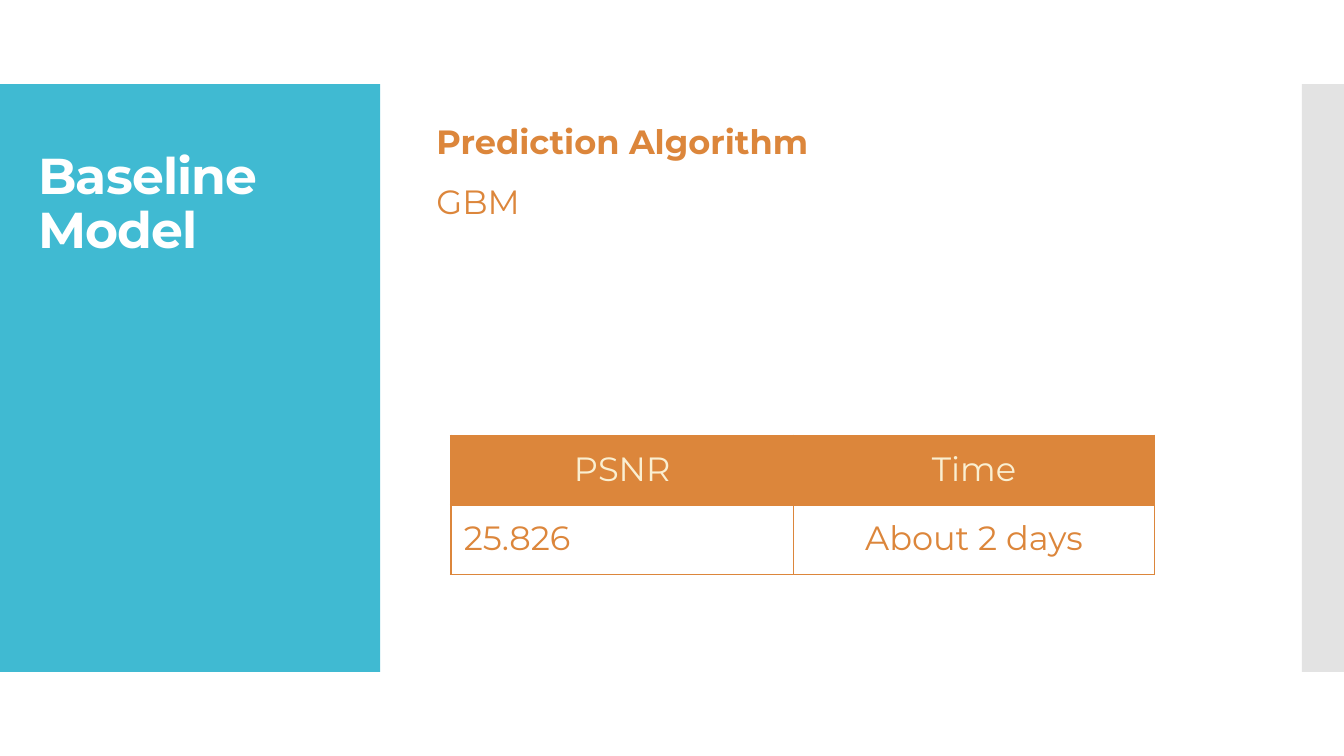
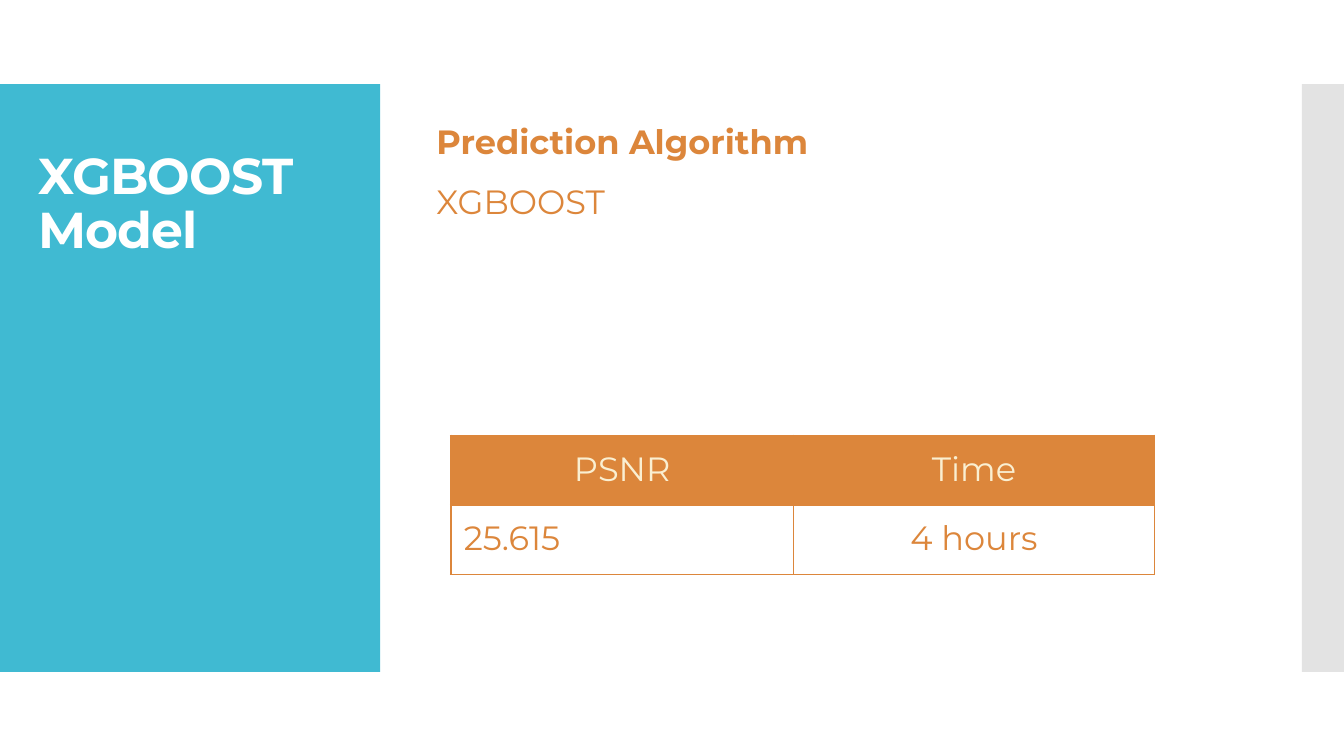
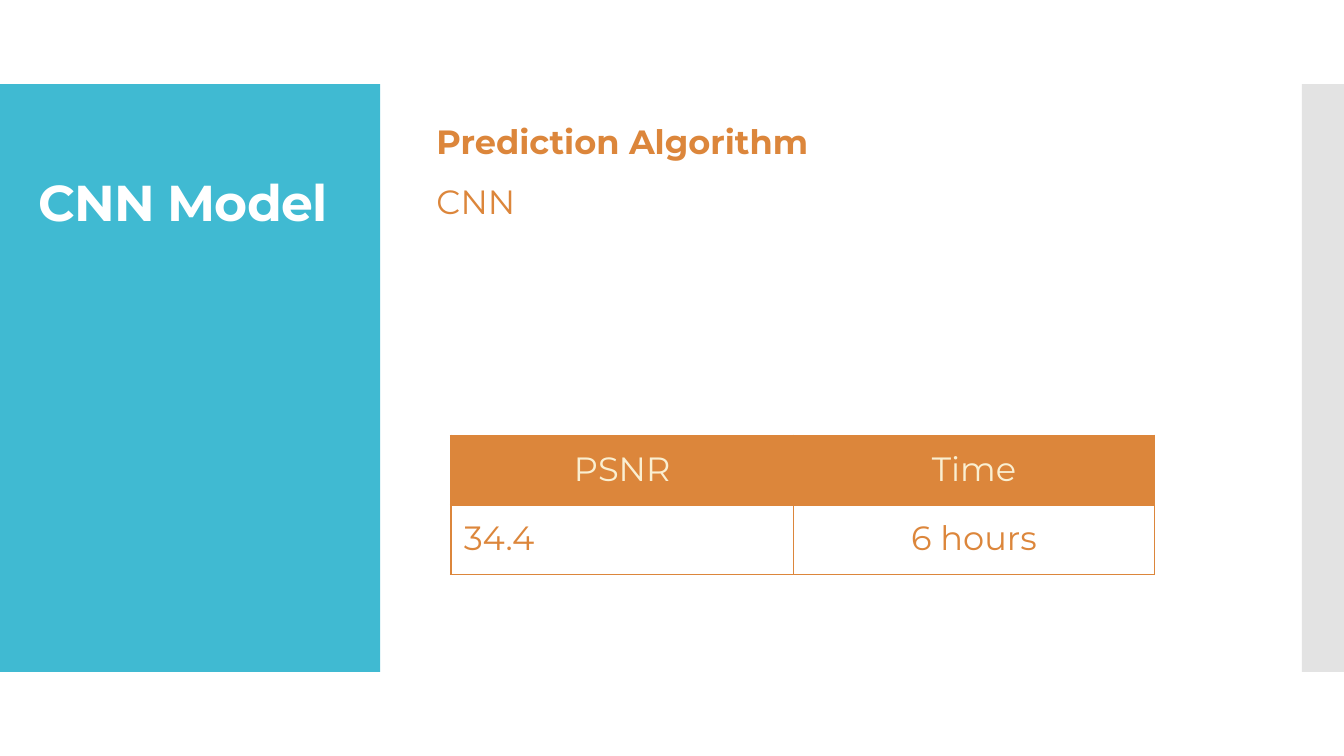
from dataclasses import dataclass
from typing import Any

from lxml import etree
from pptx import Presentation
from pptx.dml.color import RGBColor
from pptx.enum.shapes import MSO_SHAPE
from pptx.enum.text import MSO_ANCHOR, PP_ALIGN
from pptx.oxml.ns import qn
from pptx.util import Inches, Pt

RECTANGLE = MSO_SHAPE.RECTANGLE
MIDDLE, TOP = MSO_ANCHOR.MIDDLE, MSO_ANCHOR.TOP
LEFT, CENTER = PP_ALIGN.LEFT, PP_ALIGN.CENTER

COLORS = {
    "panel": "40BAD2",
    "edge": "C8C8C8",
    "accent": "DC863B",
    "cream": "FAEFD1",
    "white": "FFFFFF",
}
FONT = "Montserrat"

# Slide size and shared bands, in inches
WIDTH, HEIGHT = 13.33, 7.5
BAND_TOP, BAND_HEIGHT = HEIGHT / 9, HEIGHT * 7 / 9
PANEL_WIDTH, EDGE_WIDTH = 3.77, WIDTH / 32

# Results table
TABLE_LEFT, TABLE_TOP = 4.47, 4.32
COLUMN_WIDTHS = (3.4, 3.58)
ROW_HEIGHT = 0.69
CELL_MARGIN = 0.13
BORDER_POINTS = 1.5
HEADERS = ("PSNR", "Time")


@dataclass(frozen=True)
class Box:
    left: float
    top: float
    width: float
    height: float

    def emu(self) -> tuple[int, ...]:
        return tuple(Inches(v) for v in (self.left, self.top, self.width, self.height))


@dataclass(frozen=True)
class TextStyle:
    color: str
    size: int = 24
    bold: bool = False
    align: Any = LEFT
    line_spacing: float = 1.0
    tracking: int = 0  # hundredths of a point


@dataclass(frozen=True)
class ModelResult:
    title: str
    algorithm: str
    psnr: str
    time: str


PANEL = Box(0, BAND_TOP, PANEL_WIDTH, BAND_HEIGHT)
EDGE = Box(WIDTH - EDGE_WIDTH, BAND_TOP, EDGE_WIDTH, BAND_HEIGHT)
TITLE = Box(0.28, 1.23, 3.22, 1.61)
ALGORITHM = Box(4.23, 0.95, 6.67, 1.24)

TITLE_STYLE = TextStyle("white", 36, True, line_spacing=0.9, tracking=-60)
HEADING_STYLE = TextStyle("accent", bold=True, line_spacing=1.5)
BODY_STYLE = TextStyle("accent", line_spacing=1.5)
HEADER_STYLE = TextStyle("cream", align=CENTER)
VALUE_STYLES = (TextStyle("accent"), TextStyle("accent", align=CENTER))

RESULTS = (
    ModelResult("Baseline Model", "GBM", "25.826", "About 2 days"),
    ModelResult("XGBOOST Model", "XGBOOST", "25.615", "4 hours"),
    ModelResult("CNN Model", "CNN", "34.4", "6 hours"),
)


def rgb(name: str) -> RGBColor:
    return RGBColor.from_string(COLORS[name])


def apply(target: Any, values: dict[str, Any]) -> None:
    for name, value in values.items():
        setattr(target, name, value)


def write(paragraph: Any, text: str, style: TextStyle) -> None:
    apply(paragraph, {"alignment": style.align, "line_spacing": style.line_spacing})
    run = paragraph.add_run()
    run.text = text
    apply(run.font, {"name": FONT, "size": Pt(style.size), "bold": style.bold})
    run.font.color.rgb = rgb(style.color)
    if style.tracking:
        run.font._element.set("spc", str(style.tracking))


def add_band(slide: Any, box: Box, color: str, opacity: int = 100) -> None:
    shape = slide.shapes.add_shape(RECTANGLE, *box.emu())
    shape.shadow.inherit = False
    shape.fill.solid()
    shape.fill.fore_color.rgb = rgb(color)
    shape.line.fill.background()
    if opacity < 100:
        fill_color = shape._element.spPr.find(f"{qn('a:solidFill')}/{qn('a:srgbClr')}")
        etree.SubElement(fill_color, qn("a:alpha"), val=str(opacity * 1000))


def add_text(slide: Any, box: Box, lines: list[tuple[str, TextStyle]], anchor: Any = TOP) -> None:
    frame = slide.shapes.add_textbox(*box.emu()).text_frame
    apply(frame, {"word_wrap": True, "vertical_anchor": anchor})
    for index, (text, style) in enumerate(lines):
        paragraph = frame.add_paragraph() if index else frame.paragraphs[0]
        write(paragraph, text, style)


def add_borders(cell: Any) -> None:
    properties = cell._tc.get_or_add_tcPr()
    for side in ("lnL", "lnR", "lnT", "lnB"):
        line = etree.SubElement(properties, qn(f"a:{side}"), w=str(Pt(BORDER_POINTS)))
        fill = etree.SubElement(line, qn("a:solidFill"))
        etree.SubElement(fill, qn("a:srgbClr"), val=COLORS["accent"])


def add_results_table(slide: Any, result: ModelResult) -> None:
    rows = (HEADERS, (result.psnr, result.time))
    box = Box(TABLE_LEFT, TABLE_TOP, sum(COLUMN_WIDTHS), ROW_HEIGHT * len(rows))
    table = slide.shapes.add_table(len(rows), len(HEADERS), *box.emu()).table
    apply(table, {"first_row": False, "horz_banding": False})
    for column, width in zip(table.columns, COLUMN_WIDTHS):
        column.width = Inches(width)

    margins = {f"margin_{side}": Inches(CELL_MARGIN) for side in ("left", "right", "top", "bottom")}
    for row_index, row in enumerate(rows):
        for column_index, text in enumerate(row):
            cell = table.cell(row_index, column_index)
            apply(cell, margins)
            add_borders(cell)
            if row_index == 0:
                cell.fill.solid()
                cell.fill.fore_color.rgb = rgb("accent")
                style = HEADER_STYLE
            else:
                cell.fill.background()
                style = VALUE_STYLES[column_index]
            write(cell.text_frame.paragraphs[0], text, style)


def add_model_slide(presentation: Any, result: ModelResult) -> None:
    slide = presentation.slides.add_slide(presentation.slide_layouts[6])
    # Side bands
    add_band(slide, PANEL, "panel")
    add_band(slide, EDGE, "edge", opacity=50)
    # Title and algorithm
    add_text(slide, TITLE, [(result.title, TITLE_STYLE)], MIDDLE)
    add_text(
        slide,
        ALGORITHM,
        [("Prediction Algorithm", HEADING_STYLE), (result.algorithm, BODY_STYLE)],
    )
    # Score and running time
    add_results_table(slide, result)


def main() -> None:
    presentation = Presentation()
    apply(presentation, {"slide_width": Inches(WIDTH), "slide_height": Inches(HEIGHT)})
    for result in RESULTS:
        add_model_slide(presentation, result)
    presentation.save("out.pptx")


if __name__ == "__main__":
    main()
